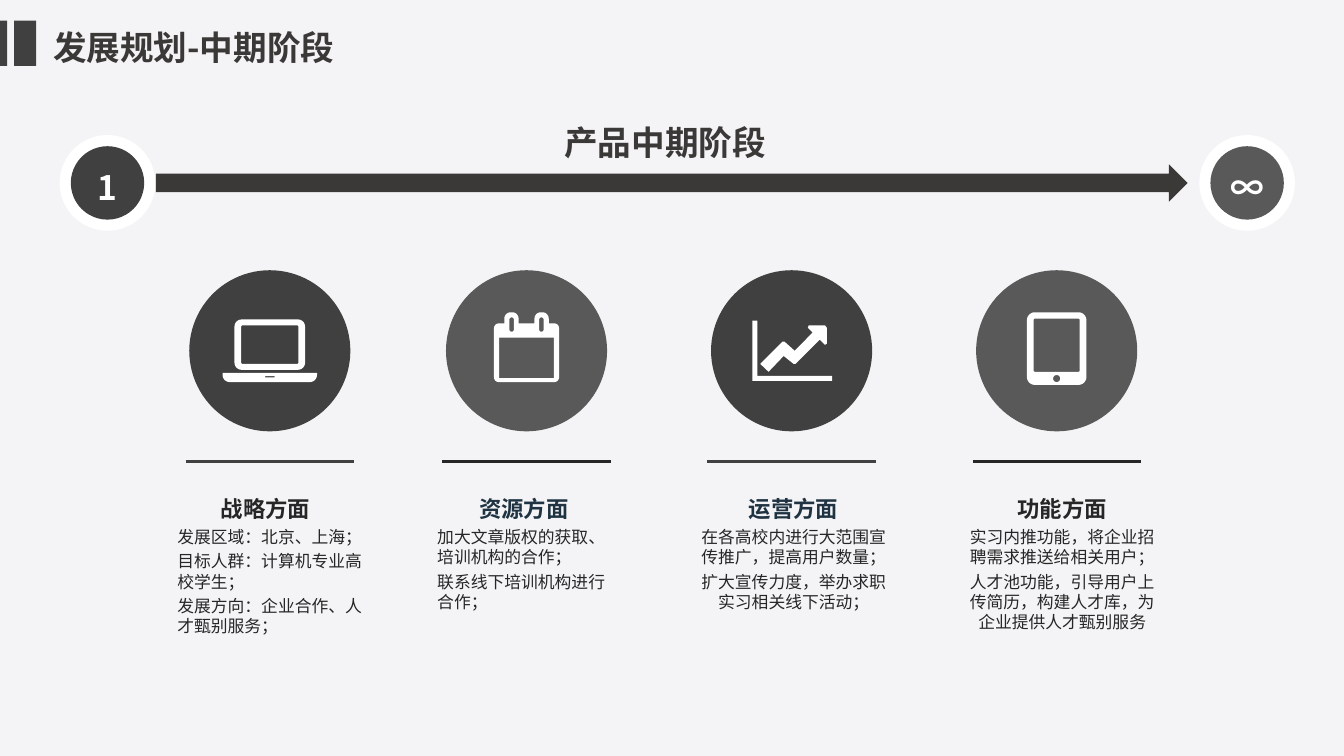
import math

from lxml import etree
from pptx import Presentation
from pptx.dml.color import RGBColor
from pptx.enum.shapes import MSO_CONNECTOR, MSO_SHAPE
from pptx.enum.text import MSO_ANCHOR, MSO_AUTO_SIZE, PP_ALIGN
from pptx.oxml.ns import qn
from pptx.util import Cm, Pt

RECT, OVAL, ARROW = MSO_SHAPE.RECTANGLE, MSO_SHAPE.OVAL, MSO_SHAPE.RIGHT_ARROW
STRAIGHT = MSO_CONNECTOR.STRAIGHT
LEFT, CENTER = PP_ALIGN.LEFT, PP_ALIGN.CENTER
TOP, MIDDLE = MSO_ANCHOR.TOP, MSO_ANCHOR.MIDDLE

FONT = "Noto Sans CJK SC"
PAPER = RGBColor(0xF4, 0xF4, 0xF6)
WHITE = RGBColor(0xFF, 0xFF, 0xFF)
DARK = RGBColor(0x40, 0x40, 0x40)
GRAY = RGBColor(0x59, 0x59, 0x59)
BROWN = RGBColor(0x3B, 0x38, 0x38)
INK = RGBColor(0x26, 0x26, 0x26)
NAVY = RGBColor(0x1F, 0x33, 0x42)

DISC = 4.06
DISC_Y = 8.84
RULE_Y = 11.63
RULE_WIDTH = 4.24
CORNER_STEPS = 6


def write_text(tf, text, size=12, color=INK, bold=False, align=LEFT,
               anchor=TOP, wrap=True, inset=(0, 0, 0, 0)):
    tf.auto_size = MSO_AUTO_SIZE.NONE
    tf.word_wrap = wrap
    tf.vertical_anchor = anchor
    tf.margin_left, tf.margin_top, tf.margin_right, tf.margin_bottom = map(Cm, inset)
    for i, line in enumerate(text.split("\n")):
        p = tf.add_paragraph() if i else tf.paragraphs[0]
        p.alignment = align
        p.line_spacing = Pt(size * 1.2)
        p.space_before = Pt(2.9 if i else 0)
        r = p.add_run()
        r.text = line
        r.font.name = FONT
        r.font.size = Pt(size)
        r.font.bold = bold
        r.font.color.rgb = color
        ea = etree.SubElement(r.font._element, qn("a:ea"))
        ea.set("typeface", FONT)


def add_text(s, x, y, w, h, text, **fmt):
    box = s.shapes.add_textbox(Cm(x), Cm(y), Cm(w), Cm(h))
    write_text(box.text_frame, text, **fmt)


def paint(sp, color):
    sp.shadow.inherit = False
    sp.fill.solid()
    sp.fill.fore_color.rgb = color
    sp.line.fill.background()


def add_block(s, kind, x, y, w, h, color):
    sp = s.shapes.add_shape(kind, Cm(x), Cm(y), Cm(w), Cm(h))
    paint(sp, color)
    return sp


def add_disc(s, cx, cy, size, color):
    return add_block(s, OVAL, cx - size / 2, cy - size / 2, size, size, color)


def add_rule(s, cx, color):
    line = s.shapes.add_connector(STRAIGHT, Cm(cx - RULE_WIDTH / 2), Cm(RULE_Y),
                                  Cm(cx + RULE_WIDTH / 2), Cm(RULE_Y))
    line.line.color.rgb = color
    line.line.width = Pt(1.5)
    etree.SubElement(line._element.spPr, qn("a:effectLst"))


def add_icon(s, cx, cy, outlines):
    placed = [[(Cm(cx + x), Cm(cy + y)) for x, y in o] for o in outlines]
    builder = s.shapes.build_freeform(*placed[0][0])
    for i, points in enumerate(placed):
        if i:
            builder.move_to(*points[0])
        builder.add_line_segments(points[1:], close=True)
    paint(builder.convert_to_shape(), WHITE)


def rounded(left, top, right, bottom, upper=0, lower=0):
    corners = [(left + lower, bottom - lower, lower, 90),
               (left + upper, top + upper, upper, 180),
               (right - upper, top + upper, upper, 270),
               (right - lower, bottom - lower, lower, 0)]
    points = []
    for x, y, radius, start in corners:
        steps = CORNER_STEPS if radius else 0
        for i in range(steps + 1):
            a = math.radians(start + 90 * i / max(steps, 1))
            points.append((x + radius * math.cos(a), y + radius * math.sin(a)))
    return points


def laptop():
    return [rounded(-1.19, 0.56, 1.19, 0.79, lower=0.18),
            rounded(-0.89, -0.79, 0.89, 0.48, 0.18, 0.18),
            rounded(-0.72, -0.64, 0.72, 0.33, 0.03, 0.03),
            rounded(-0.12, 0.64, 0.12, 0.67)]


def calendar():
    body = rounded(-0.82, -0.69, 0.82, 0.79, 0.12, 0.12)
    half = len(body) // 2
    tabs = [rounded(x, -0.97, x + 0.36, -0.69, upper=0.16) for x in (-0.56, 0.2)]
    slots = [rounded(x, -0.84, x + 0.11, -0.48, 0.05, 0.05) for x in (-0.43, 0.32)]
    return [body[:half] + tabs[0] + tabs[1] + body[half:],
            rounded(-0.69, -0.33, 0.69, 0.69)] + slots


def growth():
    axes = [(-0.99, -0.76), (-0.86, -0.76), (-0.86, 0.63), (1.02, 0.63),
            (1.02, 0.76), (-0.99, 0.76)]
    trend = [(0.89, -0.18), (0.84, -0.15), (0.71, -0.28), (0.1, 0.33),
             (0.05, 0.33), (-0.2, 0.13), (-0.58, 0.53), (-0.79, 0.33),
             (-0.23, -0.23), (-0.18, -0.23), (0.08, 0), (0.53, -0.46),
             (0.41, -0.58), (0.43, -0.64), (0.84, -0.64), (0.89, -0.58)]
    return [axes, trend]


def tablet():
    return [rounded(-0.75, -0.97, 0.75, 0.86, 0.2, 0.2),
            rounded(-0.58, -0.81, 0.58, 0.53, 0.03, 0.03),
            rounded(-0.09, 0.61, 0.09, 0.79, 0.09, 0.09)]


def add_milestone(s, cx, label, color):
    add_disc(s, cx, 4.61, 2.41, WHITE)
    sp = add_disc(s, cx, 4.61, 1.85, color)
    write_text(sp.text_frame, label, size=24, color=WHITE, bold=True,
               align=CENTER, anchor=MIDDLE, wrap=False, inset=(0, 0.2, 0, 0))


def add_title(s, text):
    title = s.shapes.title
    title.left, title.top, title.width, title.height = Cm(1.09), Cm(0.54), Cm(9.93), Cm(1.27)
    write_text(title.text_frame, text, size=24, color=BROWN, bold=True,
               inset=(0.25, 0.13, 0.25, 0.13))


COLUMNS = [
    (6.8, laptop, DARK, DARK, "战略方面", 6.69, INK, 4.47, 4.67, LEFT,
     "发展区域：北京、上海；\n目标人群：计算机专业高校学生；\n发展方向：企业合作、人才甄别服务；"),
    (13.27, calendar, GRAY, INK, "资源方面", 13.2, NAVY, 11.02, 4.32, LEFT,
     "加大文章版权的获取、培训机构的合作；\n联系线下培训机构进行合作；"),
    (19.95, growth, DARK, DARK, "运营方面", 20, NAVY, 17.63, 4.75, CENTER,
     "在各高校内进行大范围宣传推广，提高用户数量；\n扩大宣传力度，举办求职实习相关线下活动；"),
    (26.63, tablet, GRAY, INK, "功能方面", 26.77, INK, 24.41, 4.72, CENTER,
     "实习内推功能，将企业招聘需求推送给相关用户；\n"
     "人才池功能，引导用户上传简历，构建人才库，为企业提供人才甄别服务"),
]


def main():
    prs = Presentation()
    prs.slide_width, prs.slide_height = Cm(33.87), Cm(19.05)
    s = prs.slides.add_slide(prs.slide_layouts[5])
    s.background.fill.solid()
    s.background.fill.fore_color.rgb = PAPER

    for x, w in ((0, 0.18), (0.36, 0.55)):
        add_block(s, RECT, x, 0.52, w, 1.14, DARK)
    add_title(s, "发展规划-中期阶段")

    add_milestone(s, 2.71, "1", DARK)
    add_milestone(s, 31.43, "∞", GRAY)
    add_block(s, ARROW, 3.93, 4.14, 26, 0.94, BROWN)
    add_text(s, 13.97, 2.95, 5.94, 1.27, "产品中期阶段", size=24, color=BROWN,
             bold=True, inset=(0.25, 0.13, 0.25, 0.13))

    for cx, icon, fill, rule, head, head_x, head_color, x, w, align, body in COLUMNS:
        add_disc(s, cx, DISC_Y, DISC, fill)
        add_icon(s, cx, DISC_Y, icon())
        add_rule(s, cx, rule)
        add_text(s, head_x - 1.13, 12.47, 2.26, 0.68, head, size=16,
                 color=head_color, bold=True, align=CENTER, wrap=False)
        add_text(s, x, 13.28, w, 2.8, body, align=align)

    prs.save("out.pptx")


if __name__ == "__main__":
    main()
